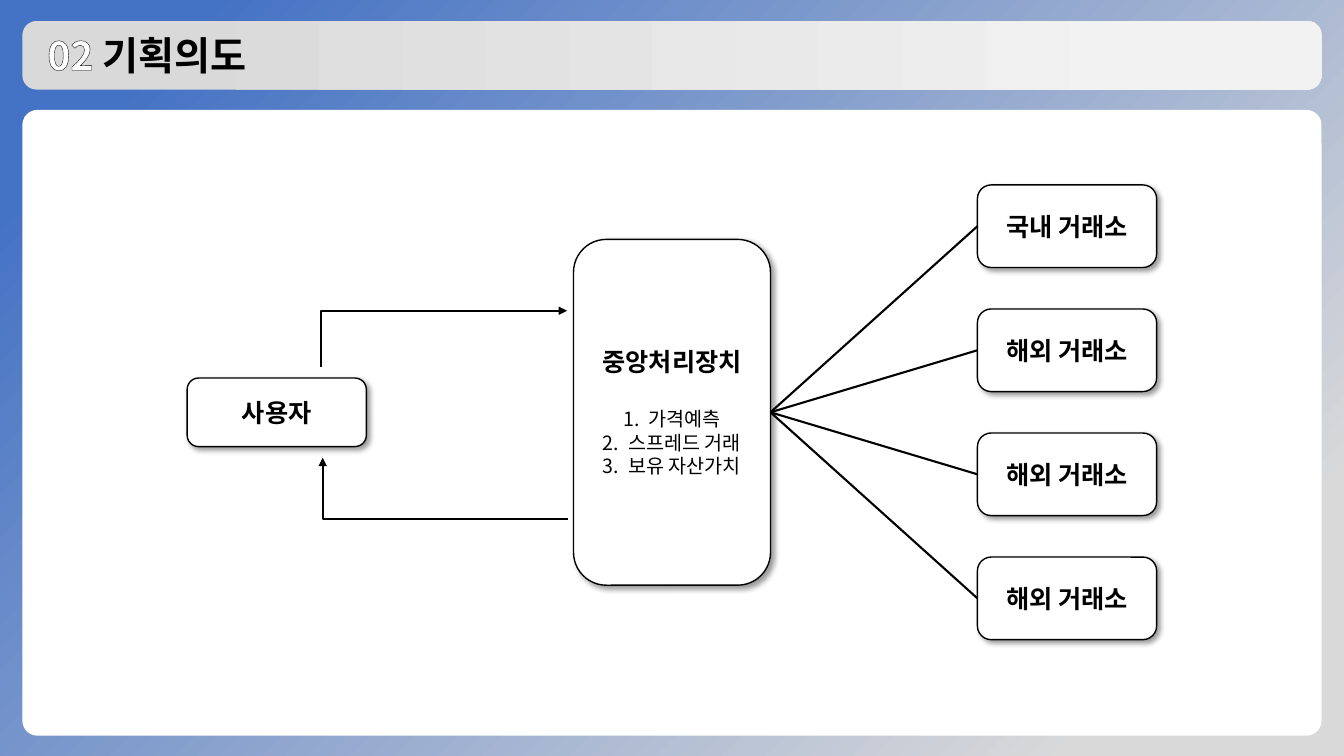
"""Build the planning-intent slide: user, central processor and exchanges."""
from lxml.etree import SubElement
from pptx import Presentation
from pptx.dml.color import RGBColor
from pptx.enum.dml import MSO_PATTERN
from pptx.enum.shapes import MSO_CONNECTOR, MSO_SHAPE
from pptx.enum.text import MSO_ANCHOR, MSO_AUTO_SIZE, PP_ALIGN
from pptx.oxml.ns import qn
from pptx.util import Pt
from dataclasses import dataclass

NUMBER, TITLE = "02 ", "기획의도"
USER = "사용자"
CORE = "중앙처리장치"
TASKS = ["가격예측", "스프레드 거래", "보유 자산가치"]
MARKETS = ["국내 거래소", "해외 거래소", "해외 거래소", "해외 거래소"]

MID = 294.5
SIDE, WIDE = 16, 928
BARS = [(15, 49, 0.208), (78.5, 447, 0.024)]
TITLE_BOX = (26.6, 16.6, 828, 49)
USER_BOX = (133.7, 128, 49)
CORE_BOX = (409.7, 140.7, 247)
MARKET_BOX = (698.2, 128, 59)
PITCH = 88.6
ELBOWS = [
    ((229.5, 222, 405, 262), {"rot": "5400000", "flipH": "1", "flipV": "1"}, "tailEnd"),
    ((230.5, 327, 405.5, 370.7), {"rot": "16200000", "flipH": "1"}, "headEnd"),
]


@dataclass(frozen=True)
class Theme:
    """Colours, font and type sizes."""
    font: str = "Noto Sans CJK KR"
    ink: str = "000000"
    paper: str = "FFFFFF"
    hatch: str = "3B3838"
    back: tuple = ("4472C4", "D9D9D9")
    bar: tuple = ("D9D9D9", "F2F2F2")
    head: int = 28
    label: int = 18
    task: int = 14


LOOK = Theme()


def rgb(code):
    """Turn a hex code into a colour."""
    return RGBColor.from_string(code)


def blend(fill, pair, angle):
    """Apply a two-stop gradient."""
    fill.gradient()
    fill.gradient_angle = angle
    for stop, code, place in zip(fill.gradient_stops, pair, (0.1, 0.87)):
        stop.color.rgb = rgb(code)
        stop.position = place


def style(run, size, bold):
    """Set font, size, weight and colour of a run."""
    font = run.font
    font.name, font.size, font.bold = LOOK.font, Pt(size), bold
    font.color.rgb = rgb(LOOK.ink)
    SubElement(font._element, qn("a:ea"), typeface=LOOK.font)


def panel(slide, left, top, width, height):
    """Add a plain white rounded rectangle."""
    shape = slide.shapes.add_shape(
        MSO_SHAPE.ROUNDED_RECTANGLE, Pt(left), Pt(top), Pt(width), Pt(height))
    shape.shadow.inherit = False
    shape.fill.solid()
    shape.fill.fore_color.rgb = rgb(LOOK.paper)
    return shape


def node(slide, box, mid, text):
    """Add an outlined, shadowed box centred on a height."""
    left, width, height = box
    shape = panel(slide, left, mid - height / 2, width, height)
    shape.line.color.rgb = rgb(LOOK.ink)
    shape.line.width = Pt(1)
    effects = shape.element.spPr.find(qn("a:effectLst"))
    shade = SubElement(effects, qn("a:outerShdw"), blurRad=str(Pt(4)),
                       dist=str(Pt(3)), dir="2700000", algn="tl", rotWithShape="0")
    tint = SubElement(shade, qn("a:srgbClr"), val=LOOK.ink)
    SubElement(tint, qn("a:alpha"), val="40000")
    frame = shape.text_frame
    frame.vertical_anchor = MSO_ANCHOR.MIDDLE
    frame.text = text
    for spot, para in enumerate(frame.paragraphs):
        para.alignment = PP_ALIGN.CENTER
        style(para.runs[0], LOOK.task if spot else LOOK.label, not spot)
    return shape


def count(paras):
    """Number the paragraphs and set them apart from the heading."""
    paras[0].space_before = Pt(21.6)
    for para in paras:
        props = para._p.get_or_add_pPr()
        props.set("marL", str(Pt(18)))
        props.set("indent", str(-Pt(18)))
        SubElement(props, qn("a:buFont"), typeface="+mj-lt")
        SubElement(props, qn("a:buAutoNum"), type="arabicPeriod")


def wire(slide, kind, ends, tip=None):
    """Add a black connector, with an arrowhead if asked."""
    link = slide.shapes.add_connector(kind, *map(Pt, ends))
    link.line.color.rgb = rgb(LOOK.ink)
    link.line.width = Pt(1.5)
    props = link.element.spPr
    if tip:
        SubElement(props.find(qn("a:ln")), qn("a:" + tip), type="triangle")
    SubElement(props, qn("a:effectLst"))
    return link


def elbow(slide, area, turn, tip):
    """Add a one-bend arrow inside an area, rotated about its centre."""
    left, top, right, base = area
    midx, midy = (left + right) / 2, (top + base) / 2
    dx, dy = (base - top) / 2, (right - left) / 2
    ends = (midx - dx, midy - dy, midx + dx, midy + dy)
    props = wire(slide, MSO_CONNECTOR.ELBOW, ends, tip).element.spPr
    props.find(qn("a:prstGeom")).set("prst", "bentConnector2")
    for name, value in turn.items():
        props.find(qn("a:xfrm")).set(name, value)


def heading(slide):
    """Fill the title placeholder and bring it forward."""
    title = slide.shapes.title
    title.element.getparent().append(title.element)
    title.left, title.top, title.width, title.height = map(Pt, TITLE_BOX)
    frame = title.text_frame
    frame.text = NUMBER
    frame.auto_size = MSO_AUTO_SIZE.NONE
    frame.vertical_anchor = MSO_ANCHOR.MIDDLE
    para = frame.paragraphs[0]
    para.alignment = PP_ALIGN.LEFT
    para.line_spacing = 0.9
    para.add_run().text = TITLE
    for run in para.runs:
        style(run, LOOK.head, True)
    font = para.runs[0].font
    font.fill.patterned()
    font.fill.pattern = MSO_PATTERN.DARK_UPWARD_DIAGONAL
    font.fill.fore_color.rgb = rgb(LOOK.hatch)
    font.fill.back_color.rgb = rgb(LOOK.paper)
    edge = SubElement(font._element, qn("a:ln"), w=str(Pt(1.25)))
    SubElement(SubElement(edge, qn("a:solidFill")), qn("a:srgbClr"), val=LOOK.ink)
    font._element.insert(0, edge)


def main():
    """Compose and save the slide."""
    deck = Presentation()
    deck.slide_width, deck.slide_height = Pt(960), Pt(540)
    slide = deck.slides.add_slide(deck.slide_layouts[5])
    blend(slide.background.fill, LOOK.back, 315)
    bars = []
    for top, height, curve in BARS:
        bar = panel(slide, SIDE, top, WIDE, height)
        bar.adjustments[0] = curve
        bar.line.fill.background()
        bars.append(bar)
    blend(bars[0].fill, LOOK.bar, 0)
    heading(slide)

    node(slide, USER_BOX, MID, USER)
    core = node(slide, CORE_BOX, MID, "\n".join([CORE, *TASKS]))
    count(core.text_frame.paragraphs[1:])
    first = MID - PITCH * (len(MARKETS) - 1) / 2
    shops = [node(slide, MARKET_BOX, first + PITCH * row, name)
             for row, name in enumerate(MARKETS)]
    for area, turn, tip in ELBOWS:
        elbow(slide, area, turn, tip)
    for shop in shops:
        link = wire(slide, MSO_CONNECTOR.STRAIGHT, (0, 0, 0, 0))
        link.begin_connect(shop, 1)
        link.end_connect(core, 3)
    deck.save("out.pptx")


if __name__ == "__main__":
    main()
